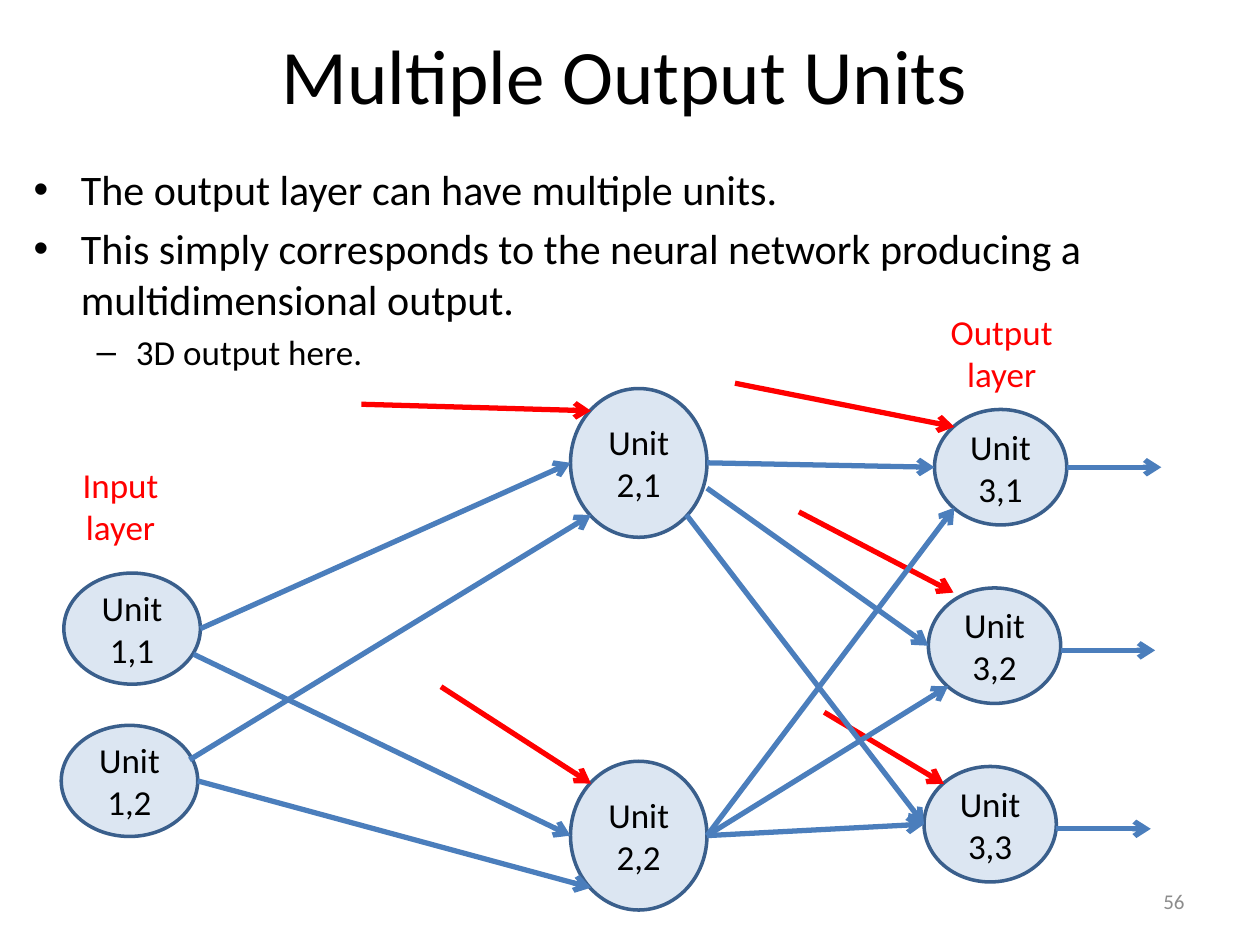
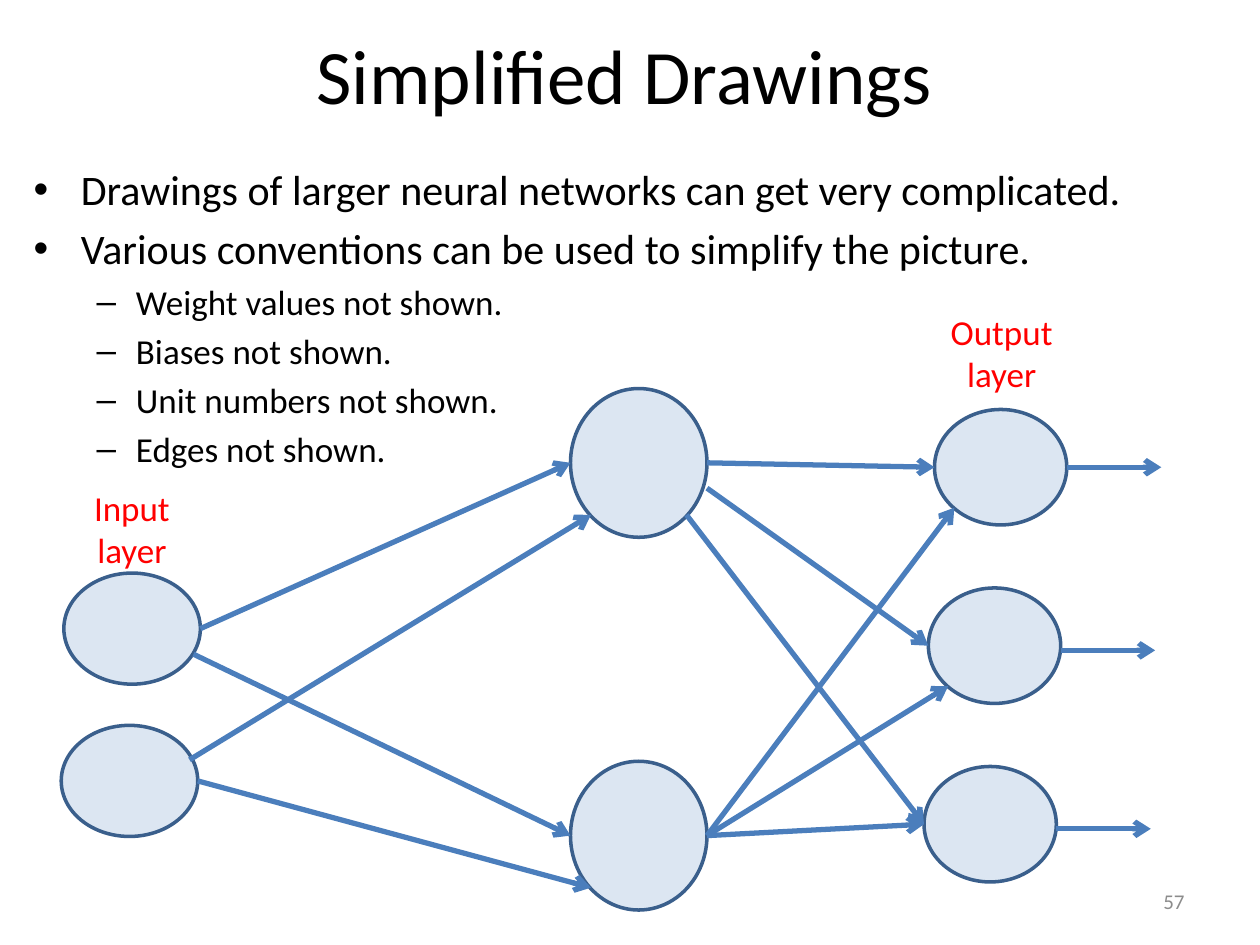
import pptx
import pptx.util
import pptx.dml.color
import pptx.enum.shapes
import pptx.enum.text
import pptx.oxml
import pptx.oxml.ns

Pt = pptx.util.Pt
ALIGN = pptx.enum.text.PP_ALIGN
ANCHOR = pptx.enum.text.MSO_ANCHOR

SLIDES = [
    {
        "title": "Multiple Output Units",
        "points": [
            (0, "The output layer can have multiple units."),
            (0, "This simply corresponds to the neural network producing a multidimensional output."),
            (1, "3D output here."),
        ],
        "number": "56",
        "detailed": True,
        "layer_labels": [("Input layer", 18.5, 261.5), ("Output layer", 522, 174)],
    },
    {
        "title": "Simplified Drawings",
        "points": [
            (0, "Drawings of larger neural networks can get very complicated."),
            (0, "Various conventions can be used to simplify the picture."),
            (1, "Weight values not shown."),
            (1, "Biases not shown."),
            (1, "Unit numbers not shown."),
            (1, "Edges not shown."),
        ],
        "number": "57",
        "detailed": False,
        "layer_labels": [("Input layer", 25, 274.5), ("Output layer", 522, 174)],
    },
]

COLORS = {
    "text": "000000",
    "number": "8C8C8C",
    "unit": "DCE6F2",
    "outline": "3A5F8C",
    "edge": "4B7EBC",
    "accent": "FF0000",
}
FONT = "Calibri"
POINT_SIZES = {0: 24, 1: 20}
TITLE_BOX = (24, 6, 666, 72)
POINTS_BOX = (12, 90, 690, 384)
NUMBER_BOX = (516, 500.4, 168, 28.8)
LABEL_SIZE = (100.8, 55.4)
OUTPUT_LENGTH = 54

LAYERS = [
    {"size": (78, 63.5), "corners": [(36.5, 327.5), (35, 414.5)]},
    {"size": (78, 85), "corners": [(326, 222), (326, 435)]},
    {"size": (75.6, 66), "corners": [(534, 234), (530.5, 336), (528, 438)]},
]
UNITS = {
    f"{layer},{row}": (*corner, *group["size"])
    for layer, group in enumerate(LAYERS, 1)
    for row, corner in enumerate(group["corners"], 1)
}

LEFT, RIGHT = (0, 0.5), (1, 0.5)
UPPER_LEFT, LOWER_LEFT, LOWER_RIGHT = (0.15, 0.15), (0.15, 0.85), (0.85, 0.85)
BELOW_RIGHT = (1, 0.54)

EDGES = [
    ("1,1", RIGHT, "2,1", LEFT),
    ("1,1", (0.95, 0.73), "2,2", LEFT),
    ("1,2", (0.94, 0.31), "2,1", LOWER_LEFT),
    ("1,2", RIGHT, "2,2", LOWER_LEFT),
    ("2,1", RIGHT, "3,1", LEFT),
    ("2,1", (1, 0.67), "3,2", LEFT),
    ("2,1", LOWER_RIGHT, "3,3", LEFT),
    ("2,2", RIGHT, "3,1", LOWER_LEFT),
    ("2,2", RIGHT, "3,2", LOWER_LEFT),
    ("2,2", RIGHT, "3,3", LEFT),
]
OUTPUTS = [("3,1", RIGHT), ("3,2", BELOW_RIGHT), ("3,3", BELOW_RIGHT)]
BIASES = [
    ((206.5, 231), "2,1", UPPER_LEFT),
    ((252, 392.4), "2,2", UPPER_LEFT),
    ((420, 219), "3,1", UPPER_LEFT),
    ((456.5, 292.5), "3,2", (0.19, 0.04)),
    ((471, 407), "3,3", UPPER_LEFT),
]


def rgb(name):
    return pptx.dml.color.RGBColor.from_string(COLORS[name])


def points(values):
    return [Pt(value) for value in values]


def write(paragraph, text, size=20, color="text", align=None):
    paragraph.alignment = align
    run = paragraph.add_run()
    run.text = text
    run.font.name = FONT
    run.font.size = Pt(size)
    run.font.color.rgb = rgb(color)


def place(shape, box):
    shape.left, shape.top, shape.width, shape.height = points(box)


def add_label(slide, text, box, anchor=ANCHOR.TOP, **text_format):
    frame = slide.shapes.add_textbox(*points(box)).text_frame
    frame.word_wrap = True
    frame.vertical_anchor = anchor
    write(frame.paragraphs[0], text, **text_format)


def add_unit(slide, name, detailed):
    unit = slide.shapes.add_shape(pptx.enum.shapes.MSO_SHAPE.OVAL, *points(UNITS[name]))
    unit.shadow.inherit = False
    unit.fill.solid()
    unit.fill.fore_color.rgb = rgb("unit")
    unit.line.color.rgb = rgb("outline")
    unit.line.width = Pt(2)
    if detailed:
        unit.text_frame.vertical_anchor = ANCHOR.MIDDLE
        write(unit.text_frame.paragraphs[0], f"Unit {name}", align=ALIGN.CENTER)


def spot(name, site):
    left, top, width, height = UNITS[name]
    return left + width * site[0], top + height * site[1]


def add_arrow(slide, start, end, color="edge"):
    arrow = slide.shapes.add_connector(
        pptx.enum.shapes.MSO_CONNECTOR.STRAIGHT, *points(start + end))
    arrow.line.color.rgb = rgb(color)
    arrow.line.width = Pt(3)
    properties = arrow.element.spPr
    outline = properties.find(pptx.oxml.ns.qn("a:ln"))
    namespace = pptx.oxml.ns.nsdecls("a")
    outline.append(pptx.oxml.parse_xml(f'<a:tailEnd {namespace} type="arrow"/>'))
    properties.append(pptx.oxml.parse_xml(f"<a:effectLst {namespace}/>"))


def add_network(slide, detailed):
    for name in UNITS:
        add_unit(slide, name, detailed)
    if detailed:
        for start, name, site in BIASES:
            add_arrow(slide, start, spot(name, site), color="accent")
    for source, source_site, target, target_site in EDGES:
        add_arrow(slide, spot(source, source_site), spot(target, target_site))
    for name, site in OUTPUTS:
        x, y = spot(name, site)
        add_arrow(slide, (x, y), (x + OUTPUT_LENGTH, y))


def add_slide(deck, content):
    slide = deck.slides.add_slide(deck.slide_layouts[1])
    title, body = slide.placeholders
    place(title, TITLE_BOX)
    title.text_frame.vertical_anchor = ANCHOR.MIDDLE
    write(title.text_frame.paragraphs[0], content["title"], size=44, align=ALIGN.CENTER)

    place(body, POINTS_BOX)
    for index, (level, text) in enumerate(content["points"]):
        frame = body.text_frame
        paragraph = frame.add_paragraph() if index else frame.paragraphs[0]
        paragraph.level = level
        write(paragraph, text, size=POINT_SIZES[level])

    add_label(slide, content["number"], NUMBER_BOX, anchor=ANCHOR.MIDDLE,
              size=12, color="number", align=ALIGN.RIGHT)
    add_network(slide, content["detailed"])
    for text, left, top in content["layer_labels"]:
        add_label(slide, text, (left, top, *LABEL_SIZE), color="accent", align=ALIGN.CENTER)


def main():
    deck = pptx.Presentation()
    deck.slide_width, deck.slide_height = Pt(720), Pt(540)
    for content in SLIDES:
        add_slide(deck, content)
    deck.save("out.pptx")


if __name__ == "__main__":
    main()
